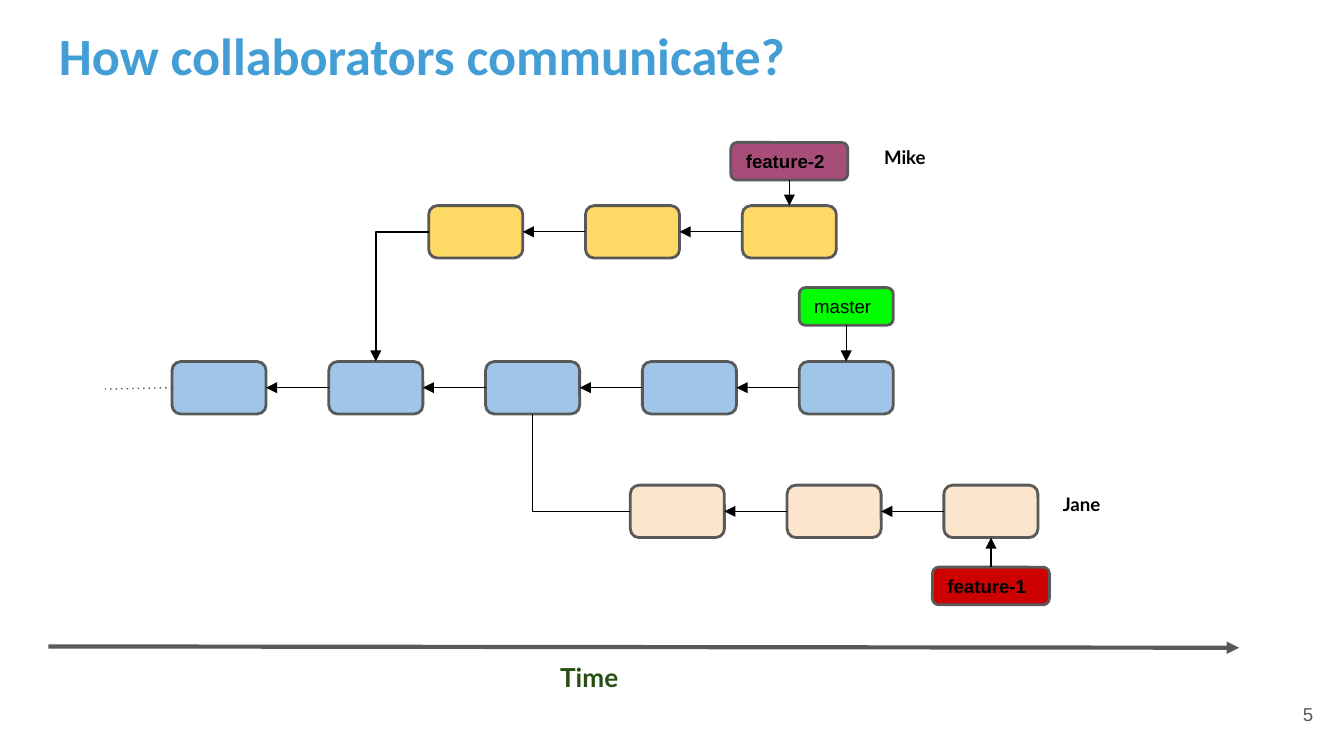
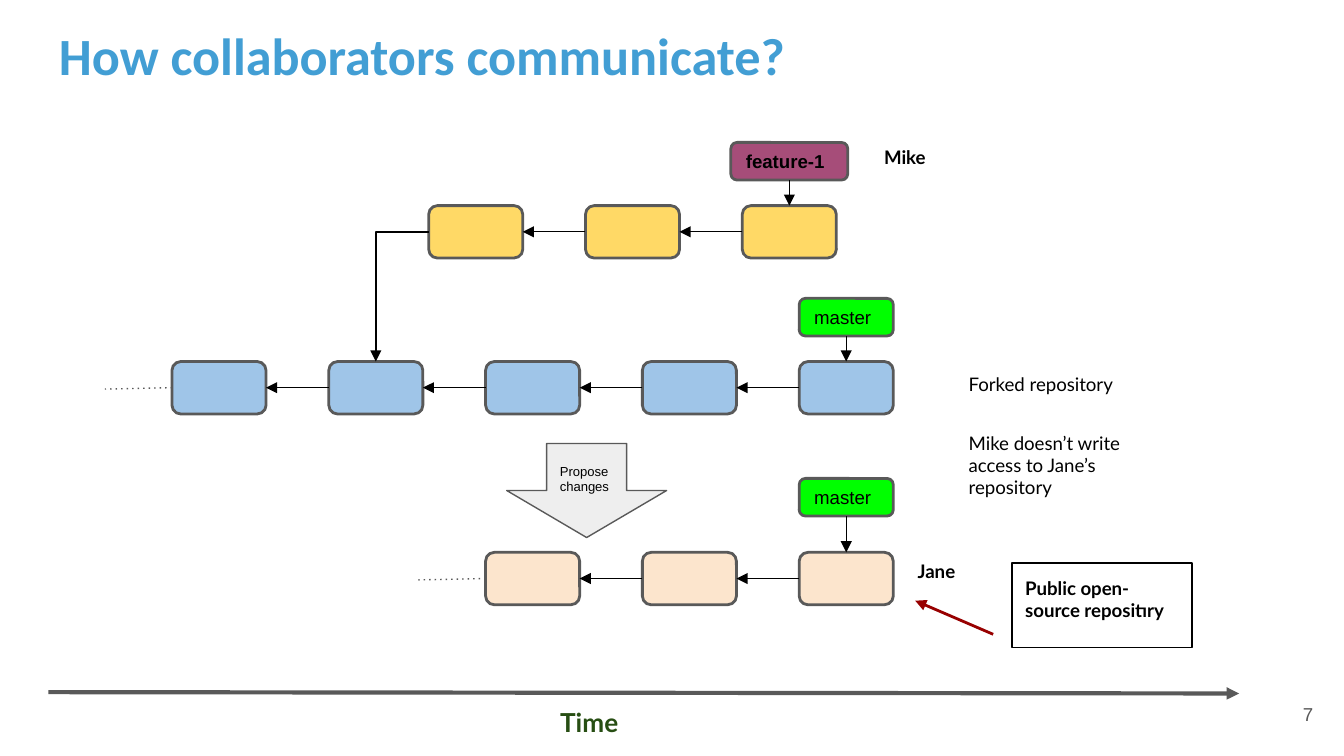
from lxml import etree
from pptx import Presentation
from pptx.dml.color import RGBColor
from pptx.enum.shapes import MSO_CONNECTOR, MSO_SHAPE
from pptx.enum.text import MSO_ANCHOR, PP_ALIGN
from pptx.oxml.ns import qn
from pptx.util import Inches, Pt

ROUNDED, RECTANGLE, DOWN_ARROW = (
    MSO_SHAPE.ROUNDED_RECTANGLE, MSO_SHAPE.RECTANGLE, MSO_SHAPE.DOWN_ARROW)
STRAIGHT, ELBOW = MSO_CONNECTOR.STRAIGHT, MSO_CONNECTOR.ELBOW
TOP, MIDDLE = MSO_ANCHOR.TOP, MSO_ANCHOR.MIDDLE
LEFT, RIGHT = PP_ALIGN.LEFT, PP_ALIGN.RIGHT

COLORS = {
    "title": "429ED4", "ink": "000000", "gray": "595959", "time": "274E13",
    "main": "9FC5E8", "mike": "FFD966", "jane": "FCE5CD",
    "master": "00FF00", "plum": "A64D79", "red": "CC0000",
    "proposal": "EEEEEE", "pointer": "980000",
}
COMMIT_W, COMMIT_H = 0.7, 0.39
COMMIT_PITCH = 3.5 / 3
TAG_H = 0.28
MAIN_X, MAIN_Y = 1.28, 2.69
MIKE_X, MIKE_Y = 3.19, 1.53


def color(name):
    return RGBColor.from_string(COLORS[name])


def write(box, text, size=10, font="Lato", ink="ink", bold=False,
          align=LEFT, anchor=TOP):
    frame = box.text_frame
    frame.word_wrap = True
    frame.vertical_anchor = anchor
    frame.margin_left = frame.margin_right = Inches(0.1)
    frame.margin_top = frame.margin_bottom = Inches(0.1)
    para = frame.paragraphs[0]
    para.alignment = align
    span = para.add_run()
    span.text = text
    span.font.size = Pt(size)
    span.font.name = font
    span.font.bold = bold
    span.font.color.rgb = color(ink)


def add_text(page, text, left, top, width, height, **style):
    box = page.shapes.add_textbox(
        Inches(left), Inches(top), Inches(width), Inches(height))
    write(box, text, **style)


def add_box(page, kind, left, top, width, height, fill=None, line="gray", weight=1.5):
    box = page.shapes.add_shape(
        kind, Inches(left), Inches(top), Inches(width), Inches(height))
    box.shadow.inherit = False
    if fill:
        box.fill.solid()
        box.fill.fore_color.rgb = color(fill)
    else:
        box.fill.background()
    box.line.color.rgb = color(line)
    box.line.width = Pt(weight)
    return box


def add_line(page, start, end, line="ink", weight=0.75, arrow=True, dotted=False, kind=STRAIGHT):
    link = page.shapes.add_connector(
        kind, *(Inches(value) for value in (*start, *end)))
    link.line.color.rgb = color(line)
    link.line.width = Pt(weight)
    properties = link._element.spPr
    outline = properties.find(qn("a:ln"))
    if kind == ELBOW:
        properties.find(qn("a:prstGeom")).set("prst", "bentConnector2")
    if dotted:
        etree.SubElement(outline, qn("a:prstDash"), val="dot")
    if arrow:
        etree.SubElement(outline, qn("a:tailEnd"), type="triangle")
    etree.SubElement(properties, qn("a:effectLst"))


def add_branch(page, left, top, count, fill):
    """Draw a row of commits, each pointing back to the one before it."""
    middle = top + COMMIT_H / 2
    for index in range(count):
        x = left + index * COMMIT_PITCH
        add_box(page, ROUNDED, x, top, COMMIT_W, COMMIT_H, fill)
        if index:
            add_line(page, (x, middle), (x - COMMIT_PITCH + COMMIT_W, middle))


def add_history(page, left, top):
    """Hint at older commits with a dotted line to the left of a branch."""
    middle = top + COMMIT_H / 2
    add_line(page, (left, middle), (left - 0.5, middle + 0.01), "gray",
             arrow=False, dotted=True)


def add_tag(page, text, top, commit_left, commit_top, fill, width=0.87, bold=True):
    """Place a branch name above or below a commit, with an arrow to it."""
    center = commit_left + COMMIT_W / 2
    tag = add_box(page, ROUNDED, center - width / 2, top, width, TAG_H, fill)
    write(tag, text, font="Arial", bold=bold, anchor=MIDDLE)
    if top < commit_top:
        add_line(page, (center, top + TAG_H), (center, commit_top))
    else:
        add_line(page, (center, top), (center, commit_top + COMMIT_H))


def add_master(page, top, commit_top):
    add_tag(page, "master", top, MAIN_X + 4 * COMMIT_PITCH, commit_top, "master",
            width=COMMIT_W, bold=False)


def add_person(page, name, left, top):
    add_text(page, name, left, top, 0.54, 0.39, bold=True)


def add_page(deck, number, mike_tag, master_top, time_y):
    """Add a page with the title, main branch, Mike's branch and time axis."""
    page = deck.slides.add_slide(deck.slide_layouts[6])
    add_text(page, "How collaborators communicate?", 0.34, 0.07, 9.32, 0.63,
             size=28, font="Calibri", ink="title", bold=True)
    add_text(page, number, 9.27, 5.1, 0.6, 0.43, font="Arial", ink="gray",
             align=RIGHT, anchor=MIDDLE)

    add_branch(page, MAIN_X, MAIN_Y, 5, "main")
    add_history(page, MAIN_X, MAIN_Y)
    add_master(page, master_top, MAIN_Y)

    add_branch(page, MIKE_X, MIKE_Y, 3, "mike")
    fork_x = MAIN_X + COMMIT_PITCH + COMMIT_W / 2
    add_line(page, (MIKE_X, MIKE_Y + COMMIT_H / 2), (fork_x, MAIN_Y), kind=ELBOW)
    add_tag(page, mike_tag, 1.06, MIKE_X + 2 * COMMIT_PITCH, MIKE_Y, "plum")
    add_person(page, "Mike", 6.48, 1)

    add_line(page, (0.36, time_y), (9.22, time_y + 0.01), "gray", 2.25)
    add_text(page, "Time", 4.07, time_y + 0.01, 0.8, 0.27, size=14, ink="time", bold=True)
    return page


def add_shared_repository(deck):
    page = add_page(deck, "5", "feature-2", master_top=2.14, time_y=4.81)
    jane_x, jane_y = 4.69, 3.61
    add_branch(page, jane_x, jane_y, 3, "jane")
    fork_x = MAIN_X + 2 * COMMIT_PITCH + COMMIT_W / 2
    add_line(page, (jane_x, jane_y + COMMIT_H / 2), (fork_x, MAIN_Y + COMMIT_H),
             arrow=False, kind=ELBOW)
    add_tag(page, "feature-1", 4.22, jane_x + 2 * COMMIT_PITCH, jane_y, "red")
    add_person(page, "Jane", 7.81, 3.58)


def add_forked_repository(deck):
    page = add_page(deck, "7", "feature-1", master_top=2.22, time_y=5.15)
    jane_x, jane_y = MAIN_X + 2 * COMMIT_PITCH, 4.11
    add_branch(page, jane_x, jane_y, 3, "jane")
    add_history(page, jane_x, jane_y)
    add_master(page, 3.56, jane_y)
    add_person(page, "Jane", 6.73, 4.08)

    add_text(page, "Forked repository", 7.11, 2.69, 1.34, 0.39)
    add_text(page, "Mike doesn’t write access to Jane’s repository", 7.11, 3.11, 1.34, 0.39)
    note = add_box(page, RECTANGLE, 7.53, 4.19, 1.34, 0.63, line="ink", weight=0.75)
    write(note, "Public open-source repositıry", bold=True)
    add_line(page, (7.39, 4.72), (6.81, 4.47), "pointer", 1.5)
    proposal = add_box(page, DOWN_ARROW, 3.77, 3.3, 1.19, 0.7, "proposal", weight=0.75)
    write(proposal, "Propose changes", size=7, font="Arial", anchor=MIDDLE)


def main():
    deck = Presentation()
    deck.slide_width = Inches(10)
    deck.slide_height = Inches(10 * 9 / 16)
    add_shared_repository(deck)
    add_forked_repository(deck)
    deck.save("out.pptx")


if __name__ == "__main__":
    main()
